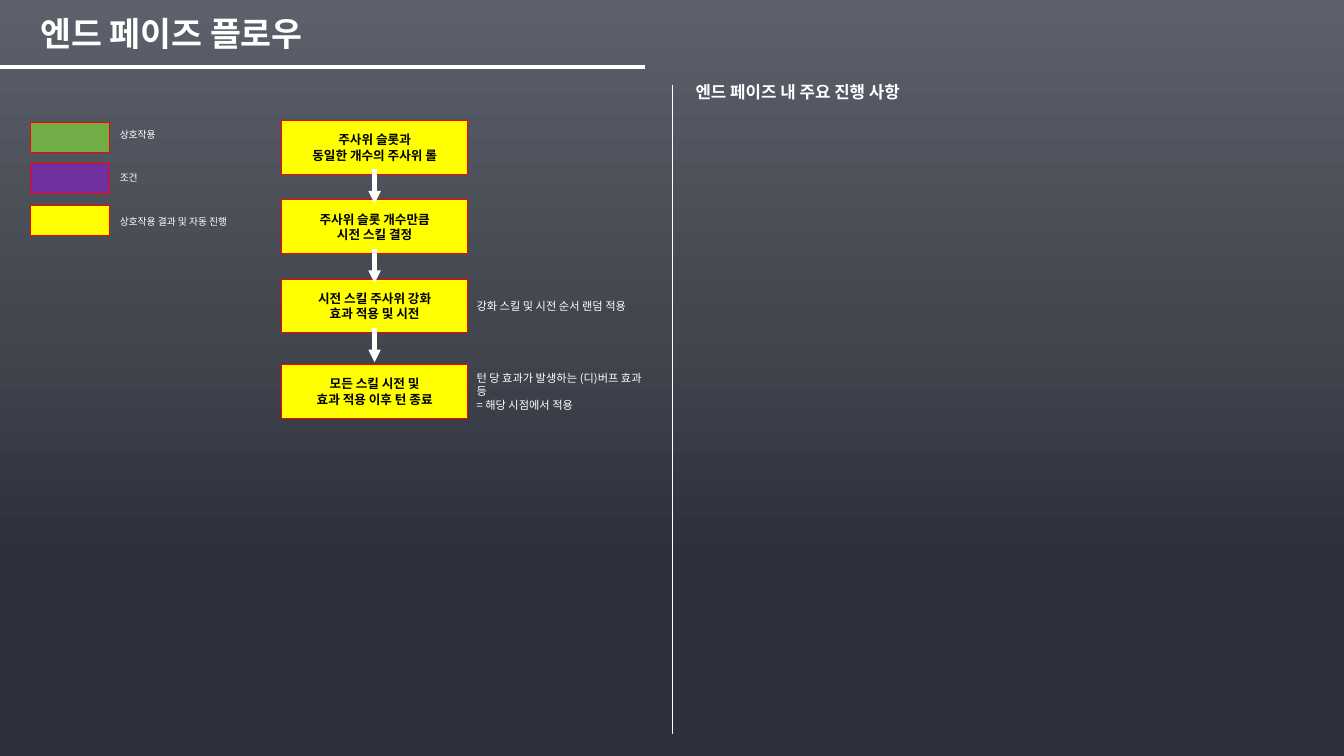
"""Build the end phase flow slide."""
from lxml.etree import SubElement
from pptx import Presentation
from pptx.dml.color import RGBColor
from pptx.enum.shapes import MSO_CONNECTOR as Line, MSO_SHAPE as Shape
from pptx.enum.text import MSO_ANCHOR as Anchor, MSO_AUTO_SIZE as AutoSize, PP_ALIGN as Align
from pptx.oxml.ns import qn
from pptx.util import Cm, Pt

FONT = "Noto Sans CJK KR"
COLORS = {
    "white": "FFFFFF", "black": "000000", "border": "FF0000",
    "interaction": "70AD47", "condition": "7030A0", "automatic": "FFFF00",
}
BACKDROP = [(0, "5C606A"), (43, "41464F"), (74, "2C313D"), (100, "2C313D")]

TITLE = "엔드 페이즈 플로우"
HEADING = "엔드 페이즈 내 주요 진행 사항"
LEGEND = [
    ("interaction", "상호작용", 2.41),
    ("condition", "조건", 2.41),
    ("automatic", "상호작용 결과 및 자동 진행", 3.18),
]
STEPS = [
    (3.04, ["주사위 슬롯과", "동일한 개수의 주사위 롤"], None),
    (5.04, ["주사위 슬롯 개수만큼", "시전 스킬 결정"], None),
    (7.04, ["시전 스킬 주사위 강화", "효과 적용 및 시전"],
     (["강화 스킬 및 시전 순서 랜덤 적용"], 3.84)),
    (9.19, ["모든 스킬 시전 및", "효과 적용 이후 턴 종료"],
     (["턴 당 효과가 발생하는 (디)버프 효과 등", "= 해당 시점에서 적용"], 4.32)),
]
STEP_LEFT, STEP_WIDTH, STEP_HEIGHT = 7.09, 4.7, 1.35
ARROW_OFFSET, ARROW_LENGTH = 1.23, 0.86

deck = Presentation()
deck.slide_width, deck.slide_height = Cm(33.87), Cm(19.05)
slide = deck.slides.add_slide(deck.slide_layouts[5])


def rgb(name):
    return RGBColor.from_string(COLORS[name])


def write(holder, lines, size, color="white", bold=False, align=Align.LEFT,
          anchor=Anchor.MIDDLE, inset=None, spacing=None):
    frame = holder.text_frame
    frame.word_wrap = True
    frame.auto_size = AutoSize.NONE
    frame.vertical_anchor = anchor
    if inset is not None:
        frame.margin_left = frame.margin_right = Cm(inset)
        frame.margin_top = frame.margin_bottom = Cm(inset)
    frame.text = "\n".join(lines)
    for paragraph in frame.paragraphs:
        paragraph.alignment = align
        paragraph.line_spacing = spacing
        for run in paragraph.runs:
            run.font.name, run.font.size, run.font.bold = FONT, Pt(size), bold
            run.font.color.rgb = rgb(color)
            SubElement(run.font._element, qn("a:ea")).set("typeface", FONT)


def label(lines, left, top, width, height, size, **style):
    box = slide.shapes.add_textbox(Cm(left), Cm(top), Cm(width), Cm(height))
    write(box, lines, size, inset=0, **style)


def block(left, top, width, height, color):
    box = slide.shapes.add_shape(Shape.RECTANGLE, Cm(left), Cm(top), Cm(width), Cm(height))
    box.shadow.inherit = False
    box.fill.solid()
    box.fill.fore_color.rgb = rgb(color)
    box.line.color.rgb = rgb("border")
    box.line.width = Pt(0.75)
    return box


def rule(x1, y1, x2, y2, weight, arrow=False):
    line = slide.shapes.add_connector(Line.STRAIGHT, Cm(x1), Cm(y1), Cm(x2), Cm(y2))
    line.line.color.rgb = rgb("white")
    line.line.width = Pt(weight)
    if arrow:
        SubElement(line.line._get_or_add_ln(), qn("a:tailEnd")).set("type", "triangle")
    SubElement(line._element.spPr, qn("a:effectLst"))


backdrop = slide.background.fill
backdrop.gradient()
backdrop.gradient_angle = 270
stops = next(slide.element.iter(qn("a:gsLst")))
for stop in list(stops):
    stops.remove(stop)
for percent, shade in BACKDROP:
    stop = SubElement(stops, qn("a:gs"))
    stop.set("pos", str(percent * 1000))
    SubElement(stop, qn("a:srgbClr")).set("val", shade)

title = slide.shapes.title
title.left, title.top, title.width, title.height = Cm(0.76), Cm(0.18), Cm(19.74), Cm(1.42)
write(title, [TITLE], 24, bold=True, spacing=0.9)
rule(0, 1.68, 16.26, 1.68, 3)

for row, (kind, meaning, width) in enumerate(LEGEND):
    block(0.76, 3.08 + row * 1.05, 2.01, 0.76, kind)
    label([meaning], 3.02, 3.04 + row * 1.09, width, 0.71, 7)

for top, action, note in STEPS:
    step = block(STEP_LEFT, top, STEP_WIDTH, STEP_HEIGHT, "automatic")
    write(step, action, 9, color="black", bold=True, align=Align.CENTER)
    if note:
        remark, width = note
        label(remark, 12.01, top + 0.28, width, 0.79, 8)

center = STEP_LEFT + STEP_WIDTH / 2
for top, _, _ in STEPS[:-1]:
    start = top + ARROW_OFFSET
    rule(center, start, center, start + ARROW_LENGTH, 3, arrow=True)

rule(16.94, 2.13, 16.94, 18.49, 1)
label([HEADING], 17.53, 2.06, 12.42, 10.31, 12, bold=True, anchor=Anchor.TOP)

deck.save("out.pptx")
